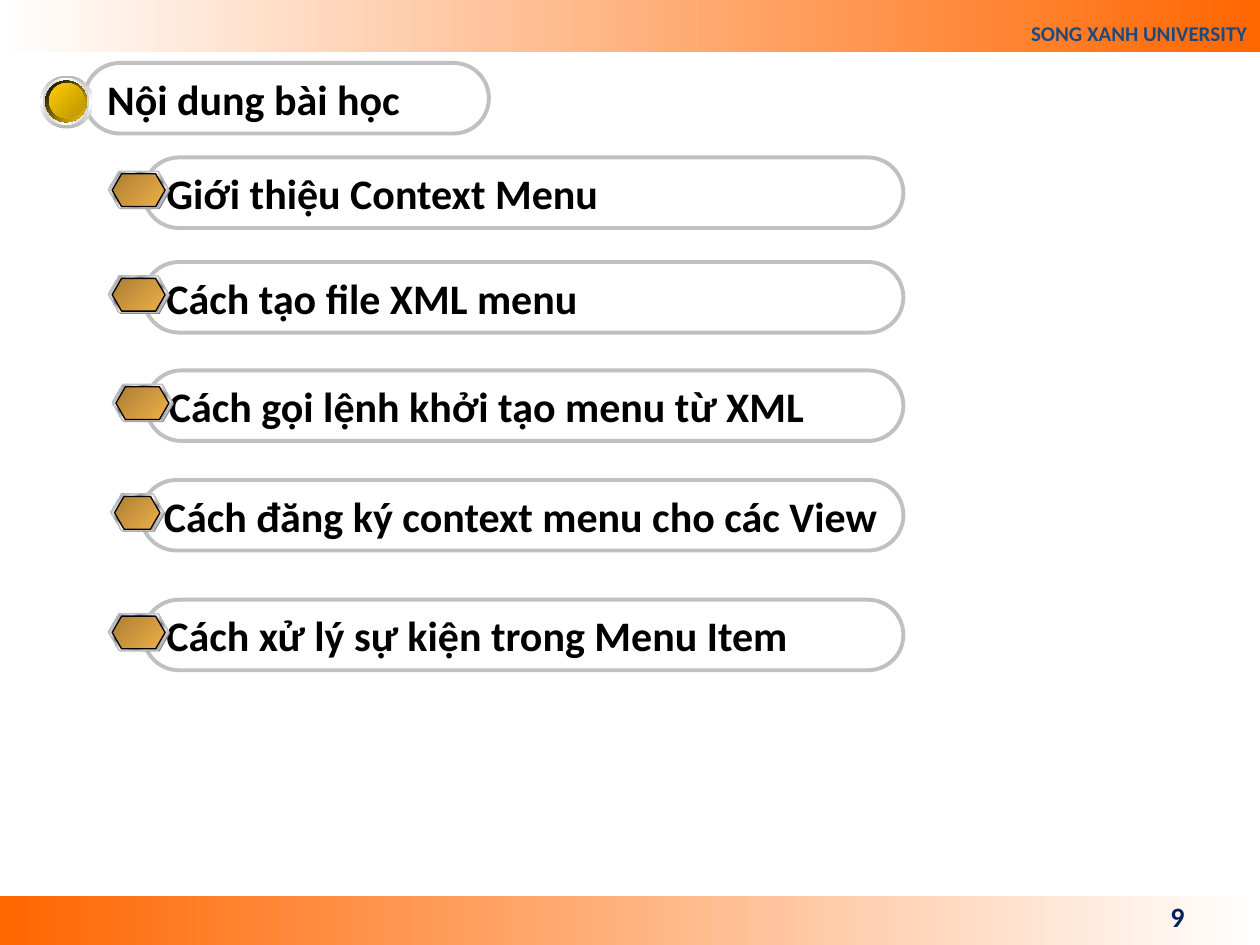
import pptx
import pptx.util
import pptx.dml.color
import pptx.enum.shapes
import pptx.enum.text
import pptx.oxml
import pptx.oxml.ns

Inches, Pt = pptx.util.Inches, pptx.util.Pt
RGBColor = pptx.dml.color.RGBColor
MSO = pptx.enum.shapes.MSO_SHAPE
ANCHOR = pptx.enum.text.MSO_ANCHOR
ALIGN = pptx.enum.text.PP_ALIGN

BLACK = RGBColor(0x00, 0x00, 0x00)
GRAY = RGBColor(0x80, 0x80, 0x80)
SILVER = RGBColor(0xC0, 0xC0, 0xC0)
SLATE = RGBColor(0x1F, 0x49, 0x7D)
NAVY = RGBColor(0x00, 0x20, 0x60)
WHITE = RGBColor(0xFF, 0xFF, 0xFF)
ORANGE = RGBColor(0xFF, 0x66, 0x00)
BLUE = RGBColor(0x66, 0x99, 0xFF)
DEEP_BLUE = RGBColor(0x4E, 0x75, 0xC3)
GOLD = RGBColor(0xFF, 0xCC, 0x00)
DARK_GOLD = RGBColor(0xBA, 0x95, 0x00)
BROWN = RGBColor(0xAB, 0x7E, 0x34)
AMBER = RGBColor(0xEF, 0xB0, 0x49)
RING = RGBColor(0xB6, 0xB6, 0xB6)
INNER_RING = RGBColor(0xD1, 0xD1, 0xD1)
PALE = RGBColor(0xE6, 0xE6, 0xE6)
STEEL = RGBColor(0x7D, 0x84, 0x96)

METAL = list(zip((0, 7, 26, 34, 46, 50, 54, 66, 74, 93, 100),
                 (PALE, STEEL, PALE, STEEL, PALE, WHITE,
                  PALE, STEEL, PALE, STEEL, PALE)))
BRONZE = [(0, BROWN), (100, AMBER)]

HEADER = "SONG XANH UNIVERSITY"
PAGE = "9"
TITLE = "Nội dung bài học"
# text, top, pill left, bullet left, bullet width
ITEMS = [
    ("Giới thiệu Context Menu", 1.25, 1.14, 0.86, 0.48),
    ("Cách tạo file XML menu", 2.08, 1.14, 0.86, 0.48),
    ("Cách gọi lệnh khởi tạo menu từ XML", 2.94, 1.16, 0.89, 0.48),
    ("Cách đăng ký context menu cho các View", 3.81, 1.12, 0.88, 0.42),
    ("Cách xử lý sự kiện trong Menu Item", 4.76, 1.14, 0.86, 0.48),
]
PILL_RIGHT, PILL_HEIGHT = 7.17, 0.56
# left, top, diameter, gradient stops, angle
BUTTON = [
    (0.32, 0.60, 0.42, [(0, RING), (50, WHITE), (100, RING)], 90),
    (0.34, 0.62, 0.37, [(0, INNER_RING), (50, WHITE), (100, INNER_RING)], 0),
    (0.36, 0.64, 0.33, [(0, WHITE), (50, BLUE), (100, WHITE)], 45),
    (0.36, 0.64, 0.33, [(0, BLACK), (100, GOLD)], 45),
    (0.39, 0.66, 0.28, [(0, DEEP_BLUE), (50, BLUE), (100, DEEP_BLUE)], 315),
    (0.39, 0.66, 0.28, [(0, GOLD), (100, DARK_GOLD)], 45),
]


def set_gradient(s, stops, angle):
    """Fill a shape with a linear gradient, its angle measured clockwise."""
    s.fill.gradient()
    s.fill.gradient_angle = (360 - angle) % 360
    gs_list = s.element.spPr.find(".//" + pptx.oxml.ns.qn("a:gsLst"))
    for old in list(gs_list):
        gs_list.remove(old)
    for pos, color in stops:
        gs_list.append(pptx.oxml.parse_xml(
            f'<a:gs {pptx.oxml.ns.nsdecls("a")} pos="{pos * 1000}">'
            f'<a:srgbClr val="{color}"/></a:gs>'))


def add_shape(shapes, kind, box, fill=None, angle=0, line=None, adj=()):
    """Add a preset shape; fill is None, a colour or gradient stops."""
    s = shapes.add_shape(kind, *map(Inches, box))
    s.shadow.inherit = False
    for i, value in enumerate(adj):
        s.adjustments[i] = value
    if fill is None:
        s.fill.background()
    elif isinstance(fill, RGBColor):
        s.fill.solid()
        s.fill.fore_color.rgb = fill
    else:
        set_gradient(s, fill, angle)
    if line:
        s.line.color.rgb, s.line.width = line[0], Pt(line[1])
    else:
        s.line.fill.background()
    return s


def set_text(s, text, size, color, align=ALIGN.LEFT, anchor=ANCHOR.MIDDLE):
    """Write one bold line into a shape and return its paragraph."""
    tf = s.text_frame
    tf.word_wrap, tf.vertical_anchor = True, anchor
    p = tf.paragraphs[0]
    p.alignment = align
    r = p.add_run()
    r.text = text
    for name, value in {"name": "Calibri", "size": Pt(size), "bold": True}.items():
        setattr(r.font, name, value)
    r.font.color.rgb = color
    return p


def add_pill(shapes, text, left, top, width):
    """Add a rounded outline holding a heading."""
    s = add_shape(shapes, MSO.ROUNDED_RECTANGLE, (left, top, width, PILL_HEIGHT),
                  line=(SILVER, 2.25), adj=(0.5,))
    s.text_frame.margin_right = 0
    set_text(s, text, 24, BLACK)


def add_item(shapes, text, top, pill_left, left, width):
    """Add a pill with its layered hexagon bullet as one group."""
    group = shapes.add_group_shape().shapes
    add_pill(group, text, pill_left, top, PILL_RIGHT - pill_left)
    y = top + 0.11
    layers = [
        ((left + 0.01, y + 0.01, width, 0.29), GRAY, None),
        ((left, y, width, 0.29), METAL, (SILVER, 0.75)),
        ((left + 0.03, y + 0.02, width - 0.06, 0.26), BRONZE, (BLACK, 0.75)),
    ]
    for box, fill, line in layers:
        add_shape(group, MSO.HEXAGON, box, fill, 45, line, (0.289, 1.155))


prs = pptx.Presentation()
prs.slide_width, prs.slide_height = Inches(10), Inches(7.5)
shapes = prs.slides.add_slide(prs.slide_layouts[6]).shapes

add_shape(shapes, MSO.RECTANGLE, (0, 7.11, 10, 0.39), [(0, ORANGE), (100, WHITE)])
header = add_shape(shapes, MSO.RECTANGLE, (0, -0.01, 10, 0.42),
                   [(0, WHITE), (100, ORANGE)])
set_text(header, HEADER, 12, SLATE, ALIGN.RIGHT, ANCHOR.BOTTOM).line_spacing = 1.8
page = shapes.add_textbox(*map(Inches, (7.17, 7.07, 2.33, 0.4)))
set_text(page, PAGE, 16, NAVY, ALIGN.RIGHT)

add_pill(shapes, TITLE, 0.67, 0.5, 3.21)
button = shapes.add_group_shape().shapes
for left, top, size, stops, angle in BUTTON:
    add_shape(button, MSO.OVAL, (left, top, size, size), stops, angle)
for item in ITEMS:
    add_item(shapes, *item)

prs.save("out.pptx")
